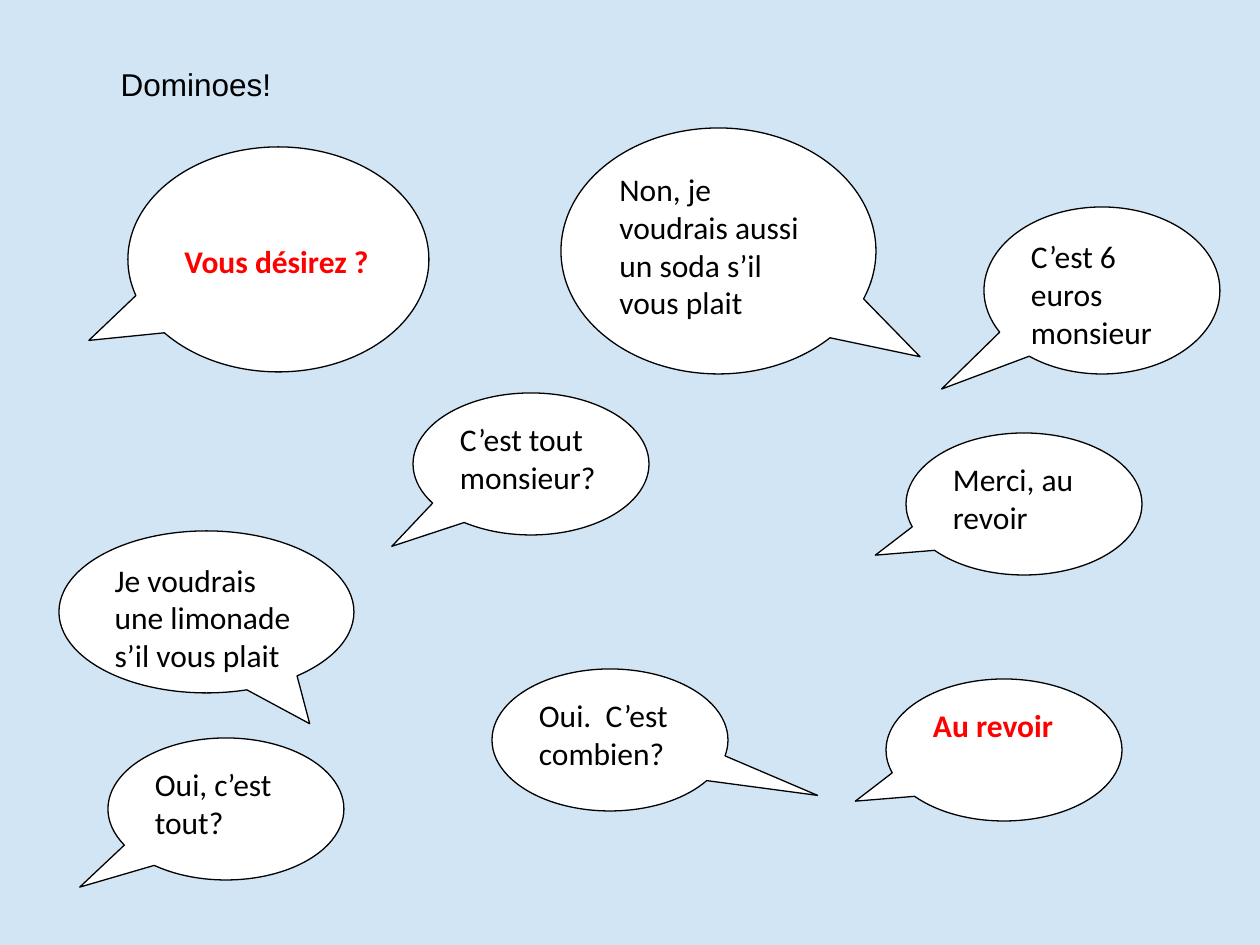
from pptx import Presentation
from pptx.dml.color import RGBColor
from pptx.enum.shapes import MSO_SHAPE as Shape
from pptx.enum.text import MSO_ANCHOR as Anchor, MSO_AUTO_SIZE as Fit, PP_ALIGN as Align
from pptx.util import Emu, Pt

SKY = RGBColor(0xD1, 0xE5, 0xF4)
WHITE = RGBColor(0xFF, 0xFF, 0xFF)
BLACK = RGBColor(0x00, 0x00, 0x00)
RED = RGBColor(0xFF, 0x00, 0x00)
SCALE = 914400 / 126


def px(n):
    """Turn px into EMU."""
    return Emu(round(n * SCALE))


def write(shape, text, font="Calibri", color=BLACK, bold=False, after=10, top=6):
    frame = shape.text_frame
    frame.word_wrap = True
    frame.auto_size = Fit.NONE
    frame.vertical_anchor = Anchor.TOP
    frame.margin_top = px(top)
    para = frame.paragraphs[0]
    para.alignment = Align.LEFT
    para.space_after = Pt(after)
    run = para.add_run()
    run.text = text
    run.font.name = font
    run.font.size = Pt(18)
    run.font.bold = bold
    run.font.color.rgb = color


deck = Presentation()
deck.slide_width, deck.slide_height = px(1260), px(945)
slide = deck.slides.add_slide(deck.slide_layouts[5])
slide.background.fill.solid()
slide.background.fill.fore_color.rgb = SKY

title = slide.shapes.title
title.left, title.top, title.width, title.height = map(px, (108, 59, 581, 50))
write(title, "Dominoes!", font="Arial", after=0)

# The first and last lines of the dialogue stand out in red
key = dict(color=RED, bold=True)

# text, (left, top, width, height), tail tip as parts of the size, format
bubbles = [
    ("Vous désirez ?", (128, 147, 301, 225), (-0.63, 0.36), dict(key, top=62)),
    ("Oui, c’est tout?", (108, 738, 236, 142), (-0.62, 0.55), {}),
    ("Merci, au revoir", (906, 433, 236, 142), (-0.63, 0.36), {}),
    ("Au revoir", (886, 679, 236, 142), (-0.63, 0.36), key),
    ("C’est tout monsieur?", (413, 393, 236, 142), (-0.59, 0.58), {}),
    ("Je voudrais une limonade s’il vous plait", (59, 531, 295, 162), (0.35, 0.69), {}),
    ("Oui.  C’est combien?", (492, 669, 236, 142), (0.88, 0.39), {}),
    ("Non, je voudrais aussi un soda s’il vous plait", (561, 128, 315, 246), (0.64, 0.43), {}),
    ("C’est 6 euros monsieur", (984, 207, 236, 167), (-0.68, 0.59), {}),
]

for text, box, tail, style in bubbles:
    bubble = slide.shapes.add_shape(Shape.OVAL_CALLOUT, *map(px, box))
    bubble.shadow.inherit = False
    for i, part in enumerate(tail):
        bubble.adjustments[i] = part
    bubble.fill.solid()
    bubble.fill.fore_color.rgb = WHITE
    bubble.line.color.rgb = BLACK
    bubble.line.width = Pt(0.75)
    write(bubble, text, **style)

deck.save("out.pptx")
